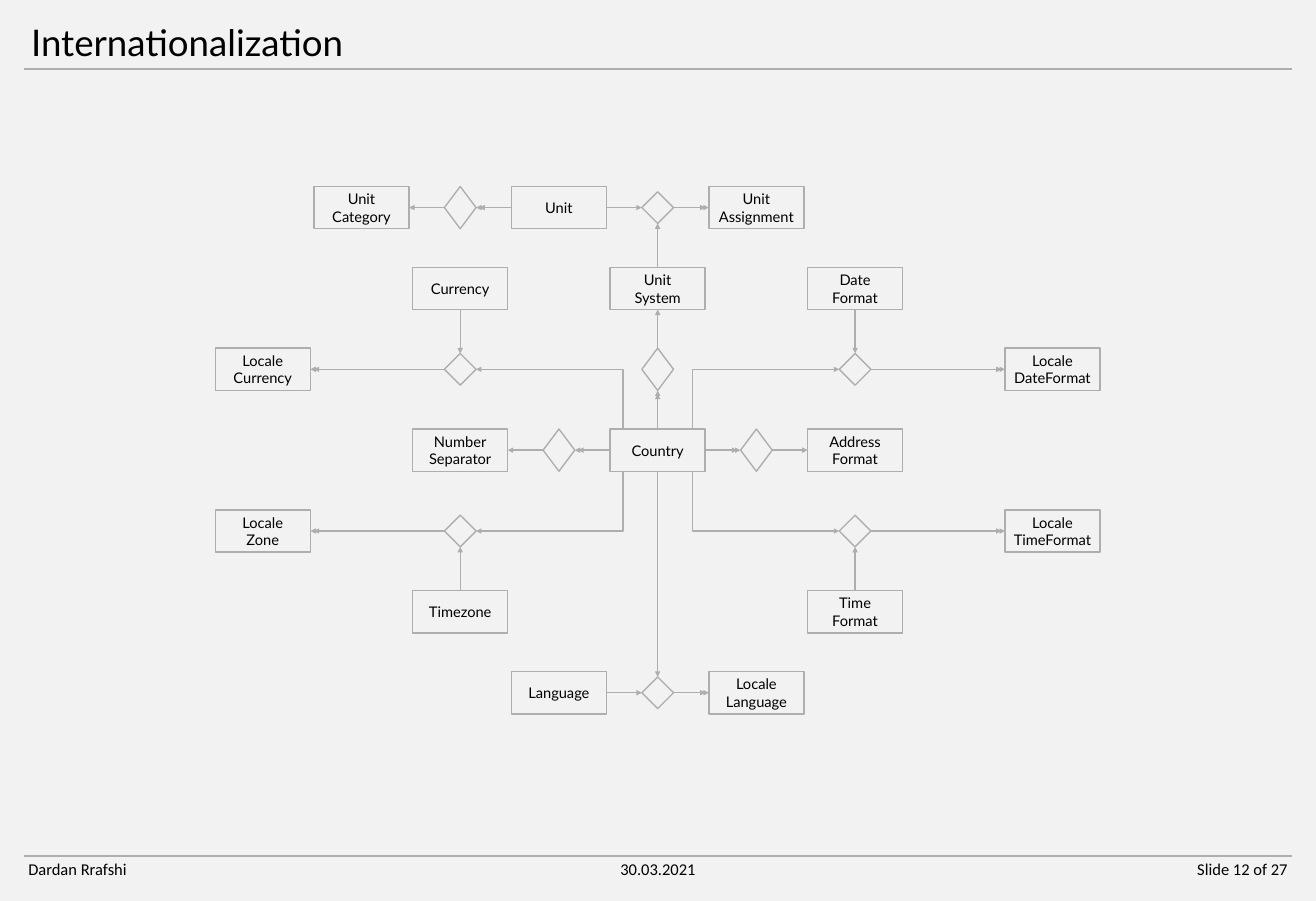
from lxml.etree import SubElement
from pptx import Presentation
from pptx.dml.color import RGBColor
from pptx.enum.shapes import MSO_CONNECTOR, MSO_SHAPE
from pptx.enum.text import MSO_ANCHOR, MSO_AUTO_SIZE, PP_ALIGN
from pptx.oxml.ns import qn
from pptx.util import Inches, Pt

SLIDE_WIDTH, SLIDE_HEIGHT = 19.93, 13.65
MARGIN = 0.37
CENTER_X, CENTER_Y = 9.96, 6.82
COLUMN_STEP, ROW_STEP = 1.495, 1.225
ENTITY_SIZE = (1.44, 0.64)
TALL_DIAMOND = (0.48, 0.64)
SQUARE_DIAMOND = (0.48, 0.48)
SECOND_HEAD_GAP = 0.05
ELBOW_OFFSET = 0.52
GRAY, BLACK, PAPER = "AEAEAE", "000000", "F2F2F2"
TOP, LEFT, BOTTOM, RIGHT = range(4)

ENTITIES = {
    (0, 0): "Country",
    (0, -2): "Unit\nSystem",
    (-1, -3): "Unit",
    (-3, -3): "Unit\nCategory",
    (1, -3): "Unit\nAssignment",
    (-2, -2): "Currency",
    (2, -2): "Date\nFormat",
    (-4, -1): "Locale\nCurrency",
    (4, -1): "Locale\nDateFormat",
    (-2, 0): "Number\nSeparator",
    (2, 0): "Address\nFormat",
    (-4, 1): "Locale\nZone",
    (4, 1): "Locale\nTimeFormat",
    (-2, 2): "Timezone",
    (2, 2): "Time\nFormat",
    (-1, 3): "Language",
    (1, 3): "Locale\nLanguage",
}
TALL_RELATIONS = [(0, -1), (1, 0), (-1, 0), (-2, -3)]
LOCALE_RELATIONS = [(column, row) for column in (-2, 2) for row in (-1, 1)]
SQUARE_RELATIONS = LOCALE_RELATIONS + [(0, 3), (0, -3)]

SINGLE_LINKS = [
    ((0, -1), (0, -2)),
    ((0, -2), (0, -3)),
    ((-1, -3), (0, -3)),
    ((-2, -3), (-3, -3)),
    ((-1, 0), (-2, 0)),
    ((1, 0), (2, 0)),
    ((0, 0), (0, 3)),
    ((-1, 3), (0, 3)),
] + [((column, 2 * row), (column, row)) for column, row in LOCALE_RELATIONS]
DOUBLE_LINKS = [
    ((0, 0), (0, -1)),
    ((0, 0), (-1, 0)),
    ((0, 0), (1, 0)),
    ((-1, -3), (-2, -3)),
    ((0, -3), (1, -3)),
    ((0, 3), (1, 3)),
] + [((column, row), (2 * column, row)) for column, row in LOCALE_RELATIONS]


def color(value):
    return RGBColor.from_string(value)


def write_text(shape, text, size=16, font="Lato", align=PP_ALIGN.LEFT,
               anchor=MSO_ANCHOR.TOP, spacing=None, inset=(0.1, 0.05)):
    frame = shape.text_frame
    frame.word_wrap = True
    frame.auto_size = MSO_AUTO_SIZE.NONE
    frame.vertical_anchor = anchor
    frame.margin_left = frame.margin_right = Inches(inset[0])
    frame.margin_top = frame.margin_bottom = Inches(inset[1])
    frame.text = text
    for paragraph in frame.paragraphs:
        paragraph.alignment = align
        paragraph.line_spacing = spacing
        paragraph.font.size = Pt(size)
        paragraph.font.name = font
        paragraph.font.color.rgb = color(BLACK)


def add_line(slide, start, end, width=1.5, arrow=False, kind=MSO_CONNECTOR.STRAIGHT):
    line = slide.shapes.add_connector(kind, *(Inches(value) for value in (*start, *end)))
    line.line.color.rgb = color(GRAY)
    line.line.width = Pt(width)
    properties = line._element.spPr
    if arrow:
        SubElement(properties.find(qn("a:ln")), qn("a:tailEnd"), type="triangle")
    SubElement(properties, qn("a:effectLst"))
    return line


def grid_point(cell):
    return CENTER_X + cell[0] * COLUMN_STEP, CENTER_Y + cell[1] * ROW_STEP


def add_node(slide, cell, preset, size, text=""):
    x, y = grid_point(cell)
    width, height = size
    node = slide.shapes.add_shape(
        preset, Inches(x - width / 2), Inches(y - height / 2), Inches(width), Inches(height))
    node.shadow.inherit = False
    node.fill.background()
    node.line.color.rgb = color(GRAY)
    node.line.width = Pt(1.5)
    if text:
        write_text(node, text, align=PP_ALIGN.CENTER, anchor=MSO_ANCHOR.MIDDLE, inset=(0, 0))
    return node


def add_link(slide, nodes, start, end, double=False):
    if start[1] == end[1]:
        sides = (RIGHT, LEFT) if end[0] > start[0] else (LEFT, RIGHT)
    else:
        sides = (BOTTOM, TOP) if end[1] > start[1] else (TOP, BOTTOM)
    link = add_line(slide, grid_point(start), grid_point(end), arrow=True)
    link.begin_connect(nodes[start], sides[0])
    link.end_connect(nodes[end], sides[1])
    if double:
        step_x = (end[0] > start[0]) - (end[0] < start[0])
        step_y = (end[1] > start[1]) - (end[1] < start[1])
        add_line(slide, (link.begin_x.inches, link.begin_y.inches),
                 (link.end_x.inches - step_x * SECOND_HEAD_GAP,
                  link.end_y.inches - step_y * SECOND_HEAD_GAP), arrow=True)


def add_country_elbow(slide, cell):
    side = 1 if cell[0] > 0 else -1
    x, y = grid_point(cell)
    start = CENTER_X + side * ELBOW_OFFSET, CENTER_Y + cell[1] * ENTITY_SIZE[1] / 2
    end = x - side * SQUARE_DIAMOND[0] / 2, y
    elbow = add_line(slide, start, end, arrow=True, kind=MSO_CONNECTOR.ELBOW)
    geometry = elbow._element.spPr.find(qn("a:prstGeom"))
    SubElement(geometry.find(qn("a:avLst")), qn("a:gd"), name="adj1", fmla="val 250")


def add_diagram(slide):
    nodes = {}
    for cell, text in ENTITIES.items():
        nodes[cell] = add_node(slide, cell, MSO_SHAPE.RECTANGLE, ENTITY_SIZE, text)
    for cells, size in ((TALL_RELATIONS, TALL_DIAMOND), (SQUARE_RELATIONS, SQUARE_DIAMOND)):
        for cell in cells:
            nodes[cell] = add_node(slide, cell, MSO_SHAPE.DIAMOND, size)
    for start, end in SINGLE_LINKS:
        add_link(slide, nodes, start, end)
    for start, end in DOUBLE_LINKS:
        add_link(slide, nodes, start, end, double=True)
    for cell in LOCALE_RELATIONS:
        add_country_elbow(slide, cell)


def add_header(slide, top, height):
    title = slide.shapes.title
    title.left, title.top = Inches(MARGIN), Inches(top)
    title.width, title.height = Inches(SLIDE_WIDTH - 2 * MARGIN), Inches(height)
    write_text(title, "Internationalization", size=40, spacing=0.9)
    rule = top + height
    add_line(slide, (MARGIN, rule), (SLIDE_WIDTH - MARGIN, rule), width=2.25)


def add_footer(slide, top, height):
    add_line(slide, (MARGIN, top), (SLIDE_WIDTH - MARGIN, top), width=2.25)
    width, edge = 1.77, 0.33
    entries = [
        ("Dardan Rrafshi", edge, PP_ALIGN.LEFT),
        ("30.03.2021", (SLIDE_WIDTH - width) / 2, PP_ALIGN.CENTER),
        ("Slide 12 of 27", SLIDE_WIDTH - edge - width, PP_ALIGN.RIGHT),
    ]
    for text, left, align in entries:
        box = slide.shapes.add_textbox(Inches(left), Inches(top), Inches(width), Inches(height))
        write_text(box, text, size=18, font="Calibri", align=align)


def main():
    presentation = Presentation()
    presentation.slide_width = Inches(SLIDE_WIDTH)
    presentation.slide_height = Inches(SLIDE_HEIGHT)
    slide = presentation.slides.add_slide(presentation.slide_layouts[5])
    slide.background.fill.solid()
    slide.background.fill.fore_color.rgb = color(PAPER)
    add_diagram(slide)
    add_header(slide, top=0.32, height=0.72)
    add_footer(slide, top=12.97, height=0.4)
    presentation.save("out.pptx")


if __name__ == "__main__":
    main()
